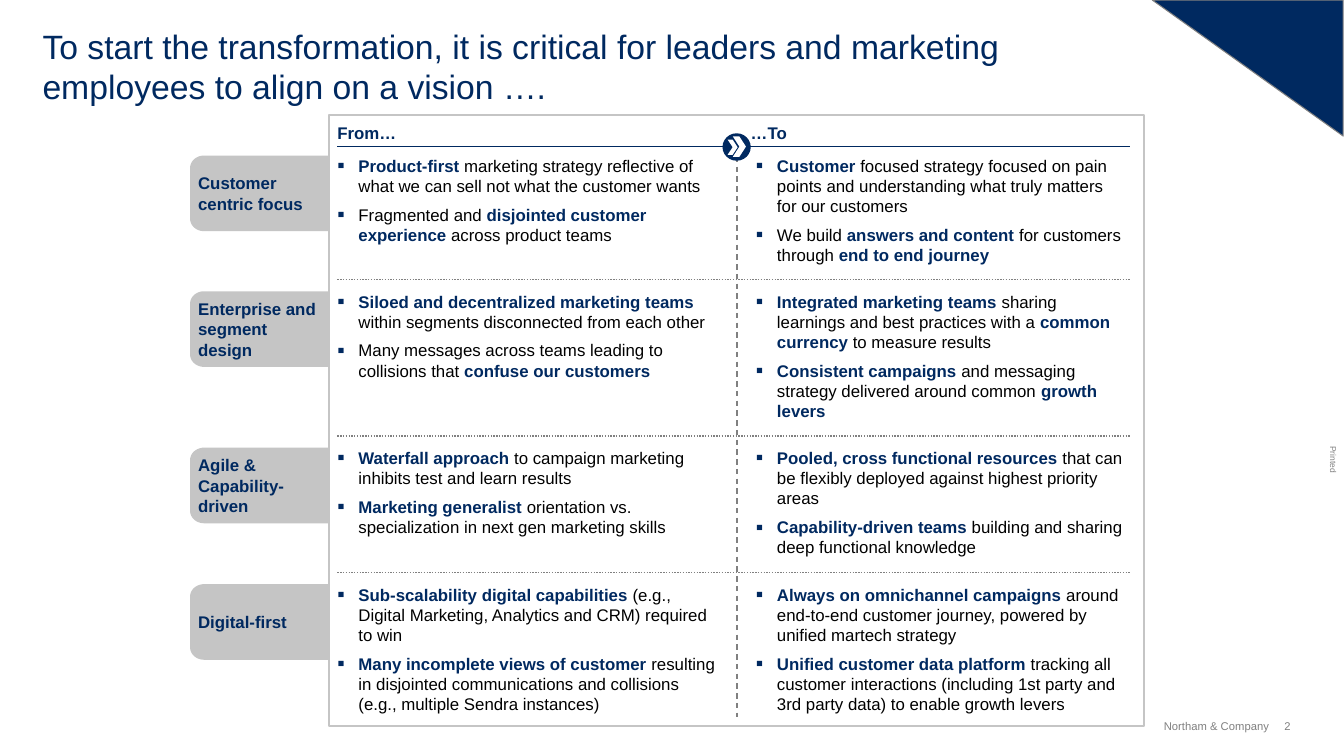
import math
from dataclasses import dataclass

from lxml import etree
from pptx import Presentation
from pptx.dml.color import RGBColor
from pptx.enum.dml import MSO_LINE
from pptx.enum.shapes import MSO_CONNECTOR, MSO_SHAPE
from pptx.enum.text import MSO_ANCHOR, PP_ALIGN
from pptx.oxml.ns import qn
from pptx.util import Cm, Pt

STRAIGHT = MSO_CONNECTOR.STRAIGHT
RECTANGLE, OVAL = MSO_SHAPE.RECTANGLE, MSO_SHAPE.OVAL
CHEVRON, RIGHT_TRIANGLE = MSO_SHAPE.CHEVRON, MSO_SHAPE.RIGHT_TRIANGLE
DASH, DOT = MSO_LINE.DASH, MSO_LINE.ROUND_DOT
TOP, MIDDLE = MSO_ANCHOR.TOP, MSO_ANCHOR.MIDDLE
LEFT, RIGHT = PP_ALIGN.LEFT, PP_ALIGN.RIGHT

COLORS = {"navy": "002960", "gray": "808080", "silver": "C5C5C5",
          "white": "FFFFFF", "black": "000000"}
FONT = "Arial"

# Layout in centimetres
FROM_X, TO_X, COLUMN_WIDTH = 8.48, 18.87, 9.53
RIGHT_EDGE = TO_X + COLUMN_WIDTH
DIVIDER_X, HEADER_LINE_Y, BOTTOM = 18.52, 3.68, 18.01
DIVIDER_GAP = 0.29
TAB_X, TAB_WIDTH, TAB_HEIGHT = 4.78, 3.5, 1.9
CORNER_WIDTH, CORNER_HEIGHT, CORNER_STEPS = 0.35, 0.31, 12
BULLET_INDENT = Cm(0.53)


@dataclass
class Box:
    left: float
    top: float
    width: float
    height: float

    def lengths(self) -> tuple:
        return Cm(self.left), Cm(self.top), Cm(self.width), Cm(self.height)


@dataclass
class Theme:
    """One row; text between ** marks is emphasised."""
    label: str
    top: float
    before: list[str]
    after: list[str]


THEMES = [
    Theme("Customer centric focus", 3.91,
          ["**Product-first** marketing strategy reflective of what we can sell not what the customer wants",
           "Fragmented and **disjointed customer experience** across product teams"],
          ["**Customer** focused strategy focused on pain points and understanding what truly matters "
           "for our customers",
           "We build **answers and content** for customers through **end to end journey**"]),
    Theme("Enterprise and segment design", 7.32,
          ["**Siloed and decentralized marketing teams** within segments disconnected from each other",
           "Many messages across teams leading to collisions that **confuse our customers**"],
          ["**Integrated marketing teams** sharing learnings and best practices with a "
           "**common currency** to measure results",
           "**Consistent campaigns** and messaging strategy delivered around common **growth levers**"]),
    Theme("Agile & Capability-driven", 11.25,
          ["**Waterfall approach** to campaign marketing inhibits test and learn results",
           "**Marketing generalist** orientation vs. specialization in next gen marketing skills"],
          ["**Pooled, cross functional resources** that can be flexibly deployed against highest "
           "priority areas",
           "**Capability-driven teams** building and sharing deep functional knowledge"]),
    Theme("Digital-first", 14.68,
          ["**Sub-scalability digital capabilities** (e.g., Digital Marketing, Analytics and CRM) "
           "required to win",
           "**Many incomplete views of customer** resulting in disjointed communications and collisions "
           "(e.g., multiple Sendra instances)"],
          ["**Always on omnichannel campaigns** around end-to-end customer journey, powered by unified "
           "martech strategy",
           "**Unified customer data platform** tracking all customer interactions (including 1st party "
           "and 3rd party data) to enable growth levers"]),
]


def rgb(name: str) -> RGBColor:
    return RGBColor.from_string(COLORS[name])


def apply(target, values: dict) -> None:
    for name, value in values.items():
        setattr(target, name, value)


def set_frame(shape, anchor=TOP, wrap: bool = True, side: float = 0, end: float = 0):
    frame = shape.text_frame
    apply(frame, {"word_wrap": wrap, "vertical_anchor": anchor,
                  "margin_left": Cm(side), "margin_right": Cm(side),
                  "margin_top": Cm(end), "margin_bottom": Cm(end)})
    return frame


def add_run(paragraph, text: str, size: float, color: str, bold: bool = False) -> None:
    run = paragraph.add_run()
    run.text = text
    apply(run.font, {"name": FONT, "size": Pt(size), "bold": bold})
    run.font.color.rgb = rgb(color)


def add_label(slide, box: Box, text: str, size: float, color: str, bold: bool = False,
              anchor=TOP, align=LEFT, wrap: bool = True, spacing: float = 1.0):
    shape = slide.shapes.add_textbox(*box.lengths())
    paragraph = set_frame(shape, anchor, wrap).paragraphs[0]
    apply(paragraph, {"alignment": align, "line_spacing": spacing})
    add_run(paragraph, text, size, color, bold)
    return shape


def add_bullet(paragraph) -> None:
    properties = paragraph._p.get_or_add_pPr()
    properties.set("marL", str(BULLET_INDENT))
    properties.set("indent", str(-BULLET_INDENT))
    color = etree.SubElement(properties, qn("a:buClr"))
    etree.SubElement(color, qn("a:srgbClr"), val=COLORS["navy"])
    etree.SubElement(properties, qn("a:buSzPct"), val="125000")
    etree.SubElement(properties, qn("a:buFont"), typeface=FONT)
    etree.SubElement(properties, qn("a:buChar"), char="▪")


def add_bullets(slide, box: Box, items: list[str], side: float = 0) -> None:
    frame = set_frame(slide.shapes.add_textbox(*box.lengths()), side=side)
    for index, item in enumerate(items):
        paragraph = frame.add_paragraph() if index else frame.paragraphs[0]
        add_bullet(paragraph)
        paragraph.space_before = Pt(6 if index else 0)
        for position, part in enumerate(item.split("**")):
            strong = position % 2 == 1
            if part:
                add_run(paragraph, part, 12, "navy" if strong else "black", strong)


def style_shape(shape, fill: str | None, line: str | None = None, width: float = 0) -> None:
    shape.shadow.inherit = False
    if fill:
        shape.fill.solid()
        shape.fill.fore_color.rgb = rgb(fill)
    else:
        shape.fill.background()
    if line:
        shape.line.color.rgb = rgb(line)
        shape.line.width = Pt(width)
    else:
        shape.line.fill.background()


def add_block(slide, kind, box: Box, fill: str | None, line: str | None = None, width: float = 0):
    shape = slide.shapes.add_shape(kind, *box.lengths())
    style_shape(shape, fill, line, width)
    return shape


def add_line(slide, start: tuple[float, float], end: tuple[float, float], color: str, dash=None) -> None:
    connector = slide.shapes.add_connector(STRAIGHT, *map(Cm, start + end))
    connector.line.color.rgb = rgb(color)
    apply(connector.line, {"width": Pt(1), "dash_style": dash})
    etree.SubElement(connector._element.spPr, qn("a:effectLst"))


def add_tab(slide, text: str, top: float) -> None:
    """Label with its two left corners rounded."""
    right, bottom = TAB_X + TAB_WIDTH, top + TAB_HEIGHT
    center_x = TAB_X + CORNER_WIDTH
    points = [(right, bottom)]
    for center_y, first_angle in ((bottom - CORNER_HEIGHT, 90), (top + CORNER_HEIGHT, 180)):
        for step in range(CORNER_STEPS + 1):
            angle = math.radians(first_angle + 90 * step / CORNER_STEPS)
            points.append((center_x + CORNER_WIDTH * math.cos(angle),
                           center_y + CORNER_HEIGHT * math.sin(angle)))
    builder = slide.shapes.build_freeform(Cm(right), Cm(top))
    builder.add_line_segments([(Cm(x), Cm(y)) for x, y in reversed(points)], close=True)
    shape = builder.convert_to_shape()
    style_shape(shape, "silver")
    paragraph = set_frame(shape, MIDDLE, side=0.2, end=0.2).paragraphs[0]
    paragraph.alignment = LEFT
    add_run(paragraph, text, 12, "navy", True)


def main() -> None:
    presentation = Presentation()
    apply(presentation, {"slide_width": Cm(33.78), "slide_height": Cm(18.67)})
    slide = presentation.slides.add_slide(presentation.slide_layouts[6])

    # Title, corner and footer
    corner = add_block(slide, RIGHT_TRIANGLE, Box(28.96, 0, 4.8, 3.42), "navy", "gray", 0.75)
    corner.rotation = 180
    add_label(slide, Box(1.07, 0.64, 27.66, 2.06),
              "To start the transformation, it is critical for leaders and marketing employees "
              "to align on a vision ….", 24, "navy")
    printed = add_label(slide, Box(33.17, 11.43, 0.69, 0.25), "Printed", 6, "gray", wrap=False)
    printed.rotation = 90
    add_label(slide, Box(29.03, 18.08, 2.87, 0.33), "Northam & Company", 8, "gray",
              anchor=MIDDLE, align=RIGHT, wrap=False)
    add_label(slide, Box(32.28, 18.08, 0.36, 0.33), "2", 8, "gray", anchor=MIDDLE, wrap=False)

    # Frame, column headings and divider
    add_block(slide, RECTANGLE, Box(8.28, 2.9, 20.47, 15.34), None, "silver", 1.5)
    for left, heading in ((FROM_X, "From…"), (TO_X, "…To")):
        add_label(slide, Box(left, 3.14, COLUMN_WIDTH, 0.46), heading, 12, "navy", True,
                  anchor=MIDDLE, spacing=0.9)
    add_line(slide, (DIVIDER_X, 3.94), (DIVIDER_X, BOTTOM), "gray", DASH)
    add_line(slide, (FROM_X, HEADER_LINE_Y), (RIGHT_EDGE, HEADER_LINE_Y), "navy")

    # Arrow badge
    add_block(slide, OVAL, Box(18.16, 3.35, 0.71, 0.69), "navy")
    for box in (Box(18.29, 3.51, 0.25, 0.38), Box(18.42, 3.43, 0.33, 0.51)):
        add_block(slide, CHEVRON, box, "white")

    # Rows
    for index, theme in enumerate(THEMES):
        if index:
            y = theme.top - DIVIDER_GAP
            add_line(slide, (FROM_X, y), (RIGHT_EDGE, y), "gray", DOT)
        add_tab(slide, theme.label, theme.top)
        add_bullets(slide, Box(FROM_X, theme.top, COLUMN_WIDTH, 2.8), theme.before)
        add_bullets(slide, Box(TO_X, theme.top, COLUMN_WIDTH, 2.8), theme.after, side=0.13)

    presentation.save("out.pptx")


if __name__ == "__main__":
    main()
